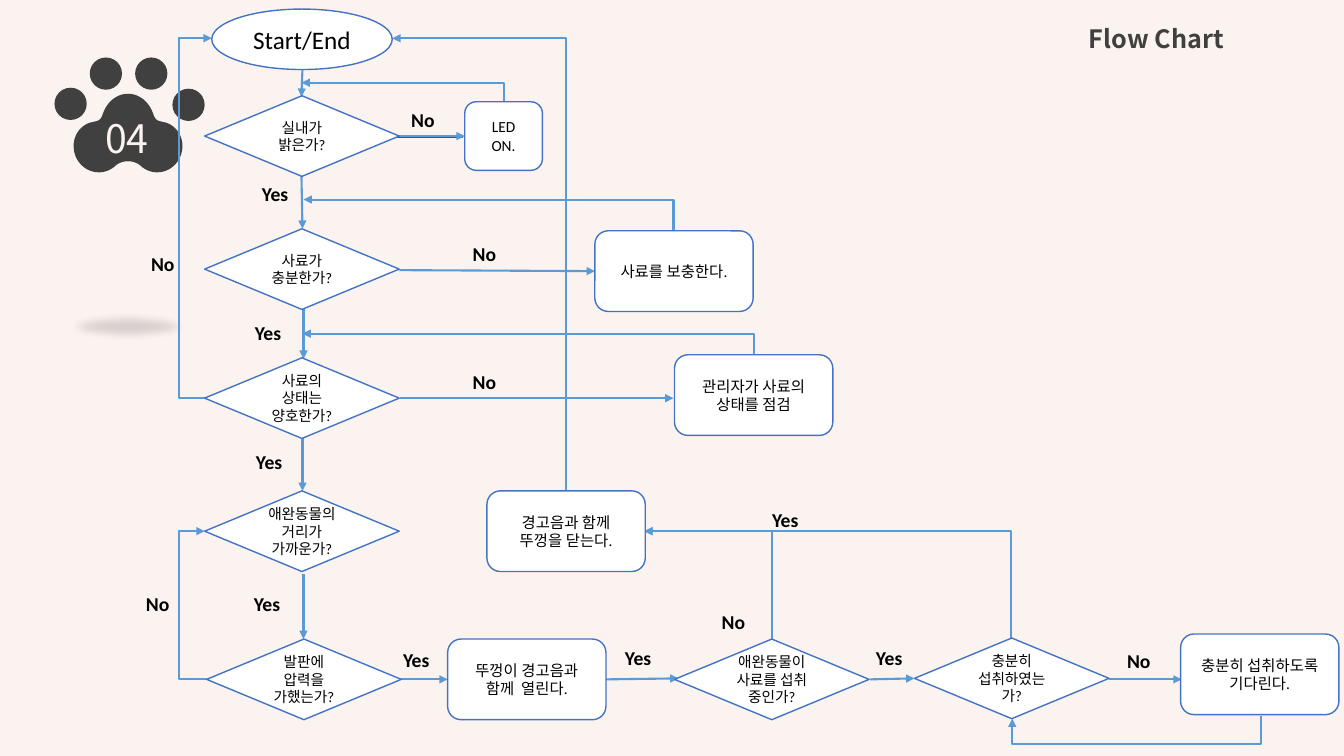
"""Build the pet feeder flow chart slide."""
from pptx import Presentation
from pptx.dml.color import RGBColor
from pptx.enum.shapes import MSO_CONNECTOR, MSO_SHAPE
from pptx.enum.text import MSO_ANCHOR, PP_ALIGN
from pptx.oxml.ns import qn
from pptx.util import Inches, Pt
from lxml import etree

STRAIGHT, ELBOW = MSO_CONNECTOR.STRAIGHT, MSO_CONNECTOR.ELBOW
OVAL, DIAMOND, ROUNDED = MSO_SHAPE.OVAL, MSO_SHAPE.DIAMOND, MSO_SHAPE.ROUNDED_RECTANGLE
CENTER, LEFT = PP_ALIGN.CENTER, PP_ALIGN.LEFT
MIDDLE, TOP = MSO_ANCHOR.MIDDLE, MSO_ANCHOR.TOP

TITLE_ONLY = 5
PAW_AXIS = 1.27
PAD_TOP = (PAW_AXIS, 0.93)
PAD_CURVES = [
    [(1.38, 0.93), (1.48, 1.01), (1.52, 1.13)],
    [(1.54, 1.19), (1.56, 1.2), (1.62, 1.21)],
    [(1.73, 1.23), (1.81, 1.33), (1.81, 1.45)],
    [(1.81, 1.59), (1.7, 1.71), (1.56, 1.71)],
    [(1.49, 1.71), (1.43, 1.68), (1.39, 1.64)],
    [(1.35, 1.61), (1.31, 1.6), (PAW_AXIS, 1.6)],
]
TOES = [(0.7, 1.03), (1.05, 0.73), (1.5, 0.73), (1.87, 1.04)]

DECISIONS = [
    (2.03, 0.95, "실내가\n밝은가?"),
    (2.03, 2.27, "사료가\n충분한가?"),
    (2.03, 3.55, "사료의 상태는 양호한가?"),
    (2.03, 4.87, "애완동물의 거리가\n가까운가?"),
    (2.05, 6.34, "발판에\n압력을\n가했는가?"),
    (6.69, 6.34, "애완동물이 사료를 섭취 중인가?"),
    (9.07, 6.33, "충분히 섭취하였는가?"),
]
STEPS = [
    (5.9, 2.29, "사료를 보충한다."),
    (6.69, 3.52, "관리자가 사료의 상태를 점검"),
    (4.83, 4.87, "경고음과 함께 뚜껑을 닫는다."),
    (4.44, 6.34, "뚜껑이 경고음과 함께  열린다."),
    (11.71, 6.29, "충분히 섭취하도록 기다린다."),
]
ARROWS = [
    ((3, 0.68), (2.99, 0.96)), ((2.99, 1.74), (3, 2.27)),
    ((3.01, 3.07), (3.01, 3.56)), ((3, 4.35), (3, 4.87)),
    ((3.01, 5.69), (3.01, 6.34)), ((3.96, 1.35), (4.61, 1.35)),
    ((3.96, 2.68), (5.9, 2.69)), ((3.97, 3.95), (6.68, 3.95)),
    ((3.98, 6.74), (4.44, 6.74)), ((6.01, 6.74), (6.73, 6.73)),
    ((8.63, 6.74), (9.07, 6.73)), ((11, 6.74), (11.72, 6.74)),
]
CORNERS = [
    ((5, 1.01), (2.99, 0.82)), ((6.68, 2.29), (3.01, 1.98)),
    ((7.48, 3.52), (3, 3.31)), ((5.61, 4.87), (3.89, 0.38)),
    ((7.66, 6.34), (6.39, 5.27)), ((10.03, 6.33), (6.39, 5.27)),
]
LOOPS = [((2.03, 3.95), (2.1, 0.38)), ((2.05, 6.74), (2.03, 5.27))]
LOOP_X = 1.78
LABELS = {
    "Yes": [(2.5, 1.76), (2.43, 3.13), (2.44, 4.41), (2.42, 5.82),
            (3.9, 6.38), (6.1, 6.36), (8.59, 6.36), (7.56, 4.99)],
    "No": [(3.98, 1.02), (4.59, 2.35), (4.59, 3.62), (1.4, 2.45),
           (1.35, 5.82), (7.06, 6), (11.08, 6.39)],
}


def color(value):
    return RGBColor.from_string(value)


def bezier(start, control1, control2, end, steps=10):
    points = []
    for step in range(1, steps + 1):
        t = step / steps
        weights = ((1 - t) ** 3, 3 * t * (1 - t) ** 2, 3 * t * t * (1 - t), t ** 3)
        corners = (start, control1, control2, end)
        points.append(tuple(sum(w * c[axis] for w, c in zip(weights, corners))
                            for axis in (0, 1)))
    return points


class FlowSlide:
    """Holds the slide and the flow chart style."""

    body, heading = "Calibri", "Noto Sans CJK KR"
    ink, dark, paper, pale = "000000", "404040", "FFFFFF", "FBF3F0"
    border, arrow_color, rule_color = "4472C4", "5B9BD5", "44546A"

    def __init__(self, deck):
        self.slide = deck.slides.add_slide(deck.slide_layouts[TITLE_ONLY])
        self.shapes = self.slide.shapes
        self.slide.background.fill.solid()
        self.slide.background.fill.fore_color.rgb = color(self.pale)

    def set_text(self, frame, text, size, ink, font=None, bold=False, align=CENTER, anchor=MIDDLE):
        frame.text = text
        frame.word_wrap = True
        frame.vertical_anchor = anchor
        for paragraph in frame.paragraphs:
            paragraph.alignment = align
            paragraph.font.name = font or self.body
            paragraph.font.size = Pt(size)
            paragraph.font.bold = bold
            paragraph.font.color.rgb = color(ink)

    def title(self, left, top, width, height, text):
        title = self.shapes.title
        title.left, title.top = Inches(left), Inches(top)
        title.width, title.height = Inches(width), Inches(height)
        self.set_text(title.text_frame, text, 18, self.dark, self.heading, True)

    def text(self, left, top, width, height, text, size, ink, **style):
        box = self.shapes.add_textbox(*map(Inches, (left, top, width, height)))
        self.set_text(box.text_frame, text, size, ink, **style)

    def paint(self, shape, fill, line=None):
        shape.shadow.inherit = False
        shape.fill.solid()
        shape.fill.fore_color.rgb = color(fill)
        if line:
            shape.line.color.rgb = color(line)
            shape.line.width = Pt(1)
        else:
            shape.line.fill.background()

    def node(self, kind, left, top, width, height, text, size):
        node = self.shapes.add_shape(kind, *map(Inches, (left, top, width, height)))
        self.paint(node, self.paper, self.border)
        self.set_text(node.text_frame, text, size, self.ink)

    def dot(self, left, top, width, height, fill):
        dot = self.shapes.add_shape(OVAL, *map(Inches, (left, top, width, height)))
        self.paint(dot, fill)
        return dot

    def soft_shadow(self, left, top, width, height):
        properties = self.dot(left, top, width, height, self.ink)._element.spPr
        tint = properties.find(qn("a:solidFill"))[0]
        etree.SubElement(tint, qn("a:alpha"), val="15000")
        effects = properties.find(qn("a:effectLst"))
        etree.SubElement(effects, qn("a:softEdge"), rad=str(Pt(6)))

    def paw(self):
        half = [PAD_TOP]
        for curve in PAD_CURVES:
            half += bezier(half[-1], *curve)
        mirrored = [(2 * PAW_AXIS - x, y) for x, y in reversed(half[1:-1])]
        outline = [(Inches(x), Inches(y)) for x, y in half + mirrored]
        builder = self.shapes.build_freeform(*outline[0])
        builder.add_line_segments(outline[1:], close=True)
        self.paint(builder.convert_to_shape(), self.dark)
        for x, y in TOES:
            self.dot(x - 0.16, y - 0.16, 0.32, 0.32, self.dark)

    def line(self, start, end, kind=STRAIGHT, arrow="tailEnd", ink=None, width=1.5):
        line = self.shapes.add_connector(kind, *map(Inches, start + end))
        line.line.color.rgb = color(ink or self.arrow_color)
        line.line.width = Pt(width)
        properties = line._element.spPr
        if arrow:
            etree.SubElement(properties.find(qn("a:ln")), qn("a:" + arrow), type="triangle")
        etree.SubElement(properties, qn("a:effectLst"))
        return properties

    def corner(self, start, end):
        properties = self.line(end, start, ELBOW, "headEnd")
        properties.find(qn("a:prstGeom")).set("prst", "bentConnector2")

    def loop(self, start, end, bend_x, turn=0):
        properties = self.line(start, end, ELBOW)
        bend = round((bend_x - start[0]) / (end[0] - start[0]) * 100000)
        guides = properties.find(qn("a:prstGeom")).find(qn("a:avLst"))
        etree.SubElement(guides, qn("a:gd"), name="adj1", fmla=f"val {bend}")
        if turn:
            properties.find(qn("a:xfrm")).set("rot", str(turn * 60000))


def main():
    deck = Presentation()
    deck.slide_width, deck.slide_height = Inches(13.33), Inches(7.5)
    chart = FlowSlide(deck)
    chart.soft_shadow(0.55, 3.08, 1.44, 0.32)
    chart.paw()
    chart.line((2.56, 1.36), (4.59, 1.36), arrow=None, ink=chart.rule_color, width=0.5)
    chart.title(9.75, 0.2, 3.44, 0.37, "Flow Chart")
    chart.text(0.78, 1.1, 0.96, 0.53, "04", 28, chart.pale, font=chart.heading)
    for start, end in ARROWS:
        chart.line(start, end)
    for start, end in CORNERS:
        chart.corner(start, end)
    for start, end in LOOPS:
        chart.loop(start, end, LOOP_X)
    chart.loop((11.26, 5.88), (11.29, 8.35), 11.54, turn=90)
    chart.node(OVAL, 2.1, 0.09, 1.79, 0.6, "Start/End", 18)
    for left, top, question in DECISIONS:
        chart.node(DIAMOND, left, top, 1.93, 0.8, question, 10.5)
    for left, top, action in STEPS:
        chart.node(ROUNDED, left, top, 1.57, 0.8, action, 11)
    chart.node(ROUNDED, 4.61, 1.01, 0.77, 0.68, "LED ON.", 11)
    for answer, places in LABELS.items():
        for left, top in places:
            chart.text(left, top, 0.63, 0.34, answer, 14, chart.ink,
                       bold=True, align=LEFT, anchor=TOP)
    deck.save("out.pptx")


if __name__ == "__main__":
    main()
